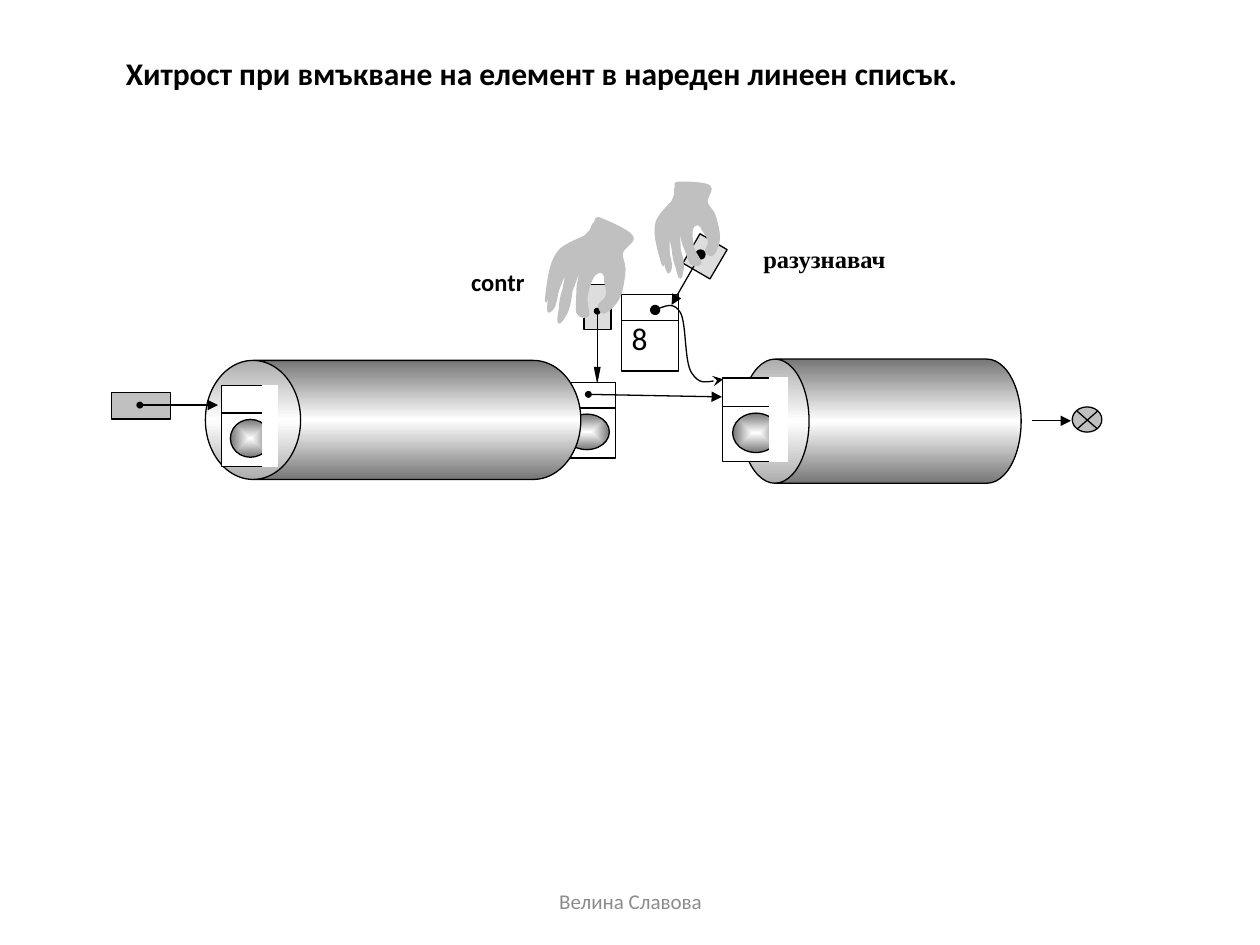
from math import cos, radians, sin

from pptx import Presentation
from pptx.dml.color import RGBColor
from pptx.enum.shapes import MSO_CONNECTOR, MSO_SHAPE
from pptx.enum.text import MSO_ANCHOR, PP_ALIGN
from pptx.oxml import parse_xml
from pptx.oxml.ns import nsdecls, qn
from pptx.util import Inches, Pt

RECT, OVAL, CAN = MSO_SHAPE.RECTANGLE, MSO_SHAPE.OVAL, MSO_SHAPE.CAN
STRAIGHT = MSO_CONNECTOR.STRAIGHT
TOP, MIDDLE = MSO_ANCHOR.TOP, MSO_ANCHOR.MIDDLE
LEFT, CENTER = PP_ALIGN.LEFT, PP_ALIGN.CENTER

COLORS = {"ink": "000000", "paper": "FFFFFF", "shade": "767676",
          "skin": "C0C0C0", "card": "DDDDDD", "foot": "8C8C8C"}
COLS, ROWS = 100, 75
CELL = Inches(0.1)
DOT, WEDGE = 'type="oval"', 'type="triangle"'
SMALL = 'type="oval" w="sm" len="sm"'
SLIM = 'type="triangle" w="sm" len="lg"'
BARB = 'type="stealth"'

# Bezier points of the hand, in tenths of a cell from its centre
HAND = [
    (-4, -26), (-11, -23), (-18, -20), (-23, -16), (-27, -12), (-29, -8), (-31, -1),
    (-33, 6), (-35, 22), (-35, 25), (-35, 29), (-33, 22), (-32, 19),
    (-31, 15), (-29, 8), (-28, 4), (-27, 1), (-24, -6), (-25, -3),
    (-25, 0), (-31, 17), (-32, 23), (-34, 29), (-33, 33), (-33, 34),
    (-32, 35), (-29, 32), (-28, 30), (-27, 28), (-27, 26), (-26, 23),
    (-26, 19), (-24, 15), (-23, 12), (-21, 8), (-18, -1), (-18, 0),
    (-18, 0), (-20, 10), (-21, 16), (-23, 21), (-24, 28), (-24, 32),
    (-25, 37), (-26, 43), (-24, 43), (-23, 43), (-18, 36), (-17, 32),
    (-15, 27), (-15, 22), (-14, 17), (-12, 13), (-9, 2), (-8, 2),
    (-7, 2), (-10, 11), (-10, 16), (-10, 22), (-11, 32), (-10, 35),
    (-8, 39), (-2, 39), (-1, 37), (0, 35), (-3, 26), (-2, 21),
    (-1, 16), (1, 9), (3, 6), (5, 3), (8, 2), (10, 3),
    (12, 4), (12, 7), (12, 10), (13, 14), (14, 19), (13, 22),
    (12, 25), (7, 27), (7, 29), (7, 31), (9, 35), (11, 35),
    (13, 35), (18, 31), (20, 28), (23, 25), (25, 20), (26, 15),
    (27, 10), (28, 4), (28, 0), (28, -5), (25, -9), (26, -13),
    (27, -17), (37, -22), (34, -26), (31, -31), (14, -38), (9, -40),
    (4, -42), (5, -39), (4, -37), (2, -36), (1, -31), (0, -30)]
# Bezier points of the new link, in cells
LINK = [(52, 24.6), (52.7, 24.3), (53.5, 24), (54, 24.8), (54.5, 25.7), (54.3, 28.7),
        (54.9, 29.6), (55.5, 30.5), (56.4, 30.3), (57.4, 30.1)]


def span(*cells):
    """Turn cells into slide lengths."""
    return [round(c * CELL) for c in cells]


def ink(name):
    """Give a named colour."""
    return RGBColor.from_string(COLORS[name])


def style(shape, fill, line="ink"):
    """Set plain fill and thin line; no fill when fill is None."""
    shape.shadow.inherit = False
    if fill:
        shape.fill.solid()
        shape.fill.fore_color.rgb = ink(fill)
    else:
        shape.fill.background()
    shape.line.color.rgb = ink(line)
    shape.line.width = Pt(0.75)
    return shape


def blend(shape, stops, way):
    """Fill a shape with a gradient of evenly spaced stops."""
    style(shape, None)
    step = 100000 // (len(stops) - 1)
    marks = "".join(f'<a:gs pos="{i * step}"><a:srgbClr val="{COLORS[s]}"/></a:gs>'
                    for i, s in enumerate(stops))
    props = shape._element.spPr
    props.replace(props.find(qn("a:noFill")), parse_xml(
        f'<a:gradFill {nsdecls("a")} rotWithShape="1"><a:gsLst>{marks}</a:gsLst>{way}</a:gradFill>'))


def form(slide, kind, box, fill, line="ink"):
    """Draw a preset shape in a box of cells."""
    return style(slide.shapes.add_shape(kind, *span(*box)), fill, line)


def tips(shape, head, tail):
    """Put ends on a line."""
    edge = shape._element.spPr.find(qn("a:ln"))
    for tag, kind in (("headEnd", head), ("tailEnd", tail)):
        if kind:
            edge.append(parse_xml(f'<a:{tag} {nsdecls("a")} {kind}/>'))


def line(slide, start, end, head=None, tail=None):
    """Draw a straight line between two grid points."""
    wire = slide.shapes.add_connector(STRAIGHT, *span(*start, *end))
    wire.line.color.rgb = ink("ink")
    wire.line.width = Pt(0.75)
    tips(wire, head, tail)
    wire._element.spPr.append(parse_xml(f'<a:effectLst {nsdecls("a")}/>'))


def curve(slide, pts, close):
    """Draw an outline whose points, in threes, make cubic Bezier arcs."""
    pen = slide.shapes.build_freeform(*span(*pts[0]), scale=1.0)
    pen.add_line_segments([span(*p) for p in pts[1:]], close=close)
    shape = pen.convert_to_shape()
    legs = list(shape._element.iter(qn("a:lnTo")))
    for trio in zip(legs[::3], legs[1::3], legs[2::3]):
        arc = parse_xml(f'<a:cubicBezTo {nsdecls("a")}/>')
        trio[0].addprevious(arc)
        for leg in trio:
            arc.append(leg[0])
            leg.getparent().remove(leg)
    return shape


def hand(slide, mid, size=1, turn=0):
    """Draw a hand around a centre, scaled and turned."""
    c, s = (size * f(radians(turn)) / 10 for f in (cos, sin))
    pts = [(mid[0] + x * c - y * s, mid[1] + x * s + y * c) for x, y in HAND]
    style(curve(slide, pts, True), "skin", "skin")


def node(slide, box, ball=True, cut=False):
    """Draw a list node: link row, value row, ball and open side."""
    x, y, w, h = box
    form(slide, RECT, (x, y, w, h * 0.34), "paper")
    form(slide, RECT, (x, y + h * 0.34, w, h * 0.66), "paper")
    if ball:
        blend(form(slide, OVAL, (x + w * 0.16, y + h * 0.42, w * 0.74, h * 0.47), None),
              ("paper", "shade"),
              '<a:path path="shape"><a:fillToRect l="50000" t="50000" r="50000" b="50000"/></a:path>')
    if cut:
        form(slide, RECT, (x + w * 0.75, y, w * 0.28, h), "paper", "paper")


def tube(slide, box, lid):
    """Draw a can lying on its side in a box."""
    x, y, w, h = box
    can = form(slide, CAN, (x + (w - h) / 2, y + (h - w) / 2, h, w), None)
    can.rotation = 270
    can.adjustments[0] = lid
    blend(can, ("shade", "paper", "shade"), '<a:lin ang="0" scaled="0"/>')


def end(slide, box):
    """Draw the crossed circle that ends the list."""
    x, y, w, h = box
    form(slide, OVAL, box, "skin")
    l, r, t, b = x + w * 0.17, x + w * 0.85, y + h * 0.17, y + h * 0.87
    line(slide, (l, t), (r, b))
    line(slide, (r, t), (l, b))


def label(slide, box, words, size, font="Calibri", bold=False, tone="ink",
          side=LEFT, hold=TOP):
    """Write one line of text in a box."""
    frame = slide.shapes.add_textbox(*span(*box)).text_frame
    frame.word_wrap = True
    frame.vertical_anchor = hold
    para = frame.paragraphs[0]
    para.alignment = side
    run = para.add_run()
    run.text = words
    run.font.size, run.font.name, run.font.bold = Pt(size), font, bold
    run.font.color.rgb = ink(tone)


def tail(slide):
    """Draw the rest of the list after the gap."""
    tube(slide, (58.8, 28.5, 22.25, 9.85), 0.55)
    node(slide, (57.35, 30, 5, 6.65), cut=True)
    end(slide, (85.1, 32.3, 2.35, 2))
    line(slide, (81.9, 33.4), (85, 33.4), tail=WEDGE)


def fresh(slide):
    """Draw the new node with the scout that holds it."""
    label(slide, (59.6, 18.85, 12.5, 4.1), "разузнавач", 14, "Times New Roman", True)
    node(slide, (49.35, 23.35, 4.5, 6.1), ball=False)
    form(slide, RECT, (54.6, 19.1, 2.7, 2.5), "card").rotation = 120.3
    line(slide, (55.6, 20.2), (53.3, 24.2), DOT, WEDGE)
    hand(slide, (54.5, 17.9), 0.85, -22.7)
    label(slide, (49.15, 24.8, 4.5, 3.7), "8", 18)
    tips(style(curve(slide, LINK, False), None), DOT, BARB)


def front(slide):
    """Draw the start of the list with its control pointer."""
    node(slide, (41.1, 31.1, 4.1, 4.4))
    form(slide, RECT, (46.35, 22.6, 2.15, 3.55), "card")
    line(slide, (47.4, 24.7), (47.4, 30.5), SMALL, SLIM)
    hand(slide, (46.8, 21.35))
    label(slide, (36.4, 20.7, 10.6, 4.3), "contr", 14, bold=True)
    node(slide, (44, 30.35, 4.85, 6))
    tube(slide, (16.3, 28.6, 29.8, 9.45), 0.8)
    form(slide, RECT, (8.85, 31.15, 4.7, 2.1), "skin")
    line(slide, (11.1, 32.15), (17.3, 32.15), SMALL, WEDGE)
    node(slide, (17.6, 30.6, 4.3, 6.4), cut=True)
    line(slide, (46.7, 31.3), (57.3, 31.5), SMALL, WEDGE)


deck = Presentation()
deck.slide_width, deck.slide_height = span(COLS, ROWS)
page = deck.slides.add_slide(deck.slide_layouts[6])
tail(page)
label(page, (9, 3.95, 74.7, 3.7), "Хитрост при вмъкване на елемент в нареден линеен списък.",
      18, bold=True, hold=MIDDLE)
fresh(page)
front(page)
label(page, (34.2, 69.5, 31.7, 4), "Велина Славова", 12, tone="foot", side=CENTER, hold=MIDDLE)
deck.save("out.pptx")
